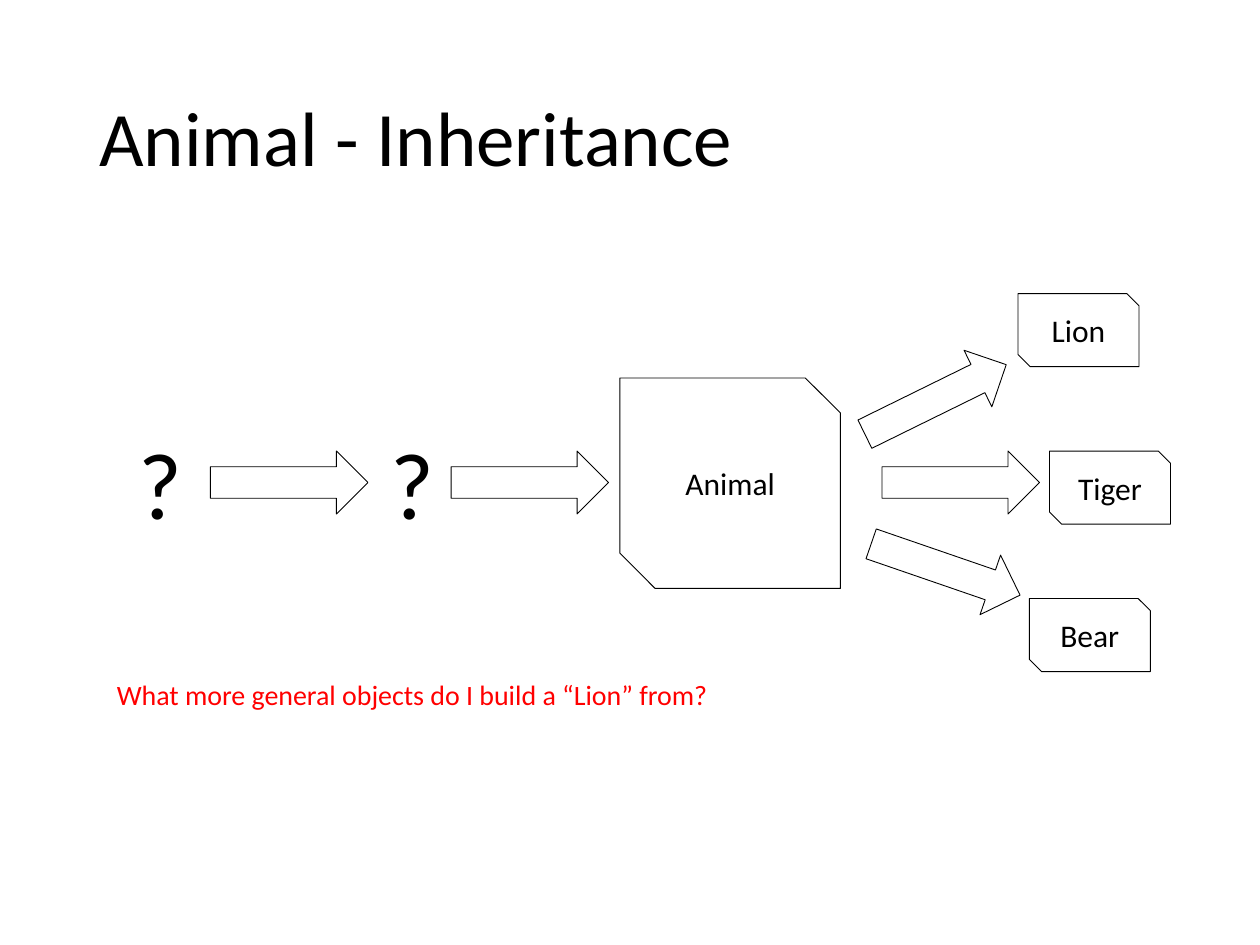
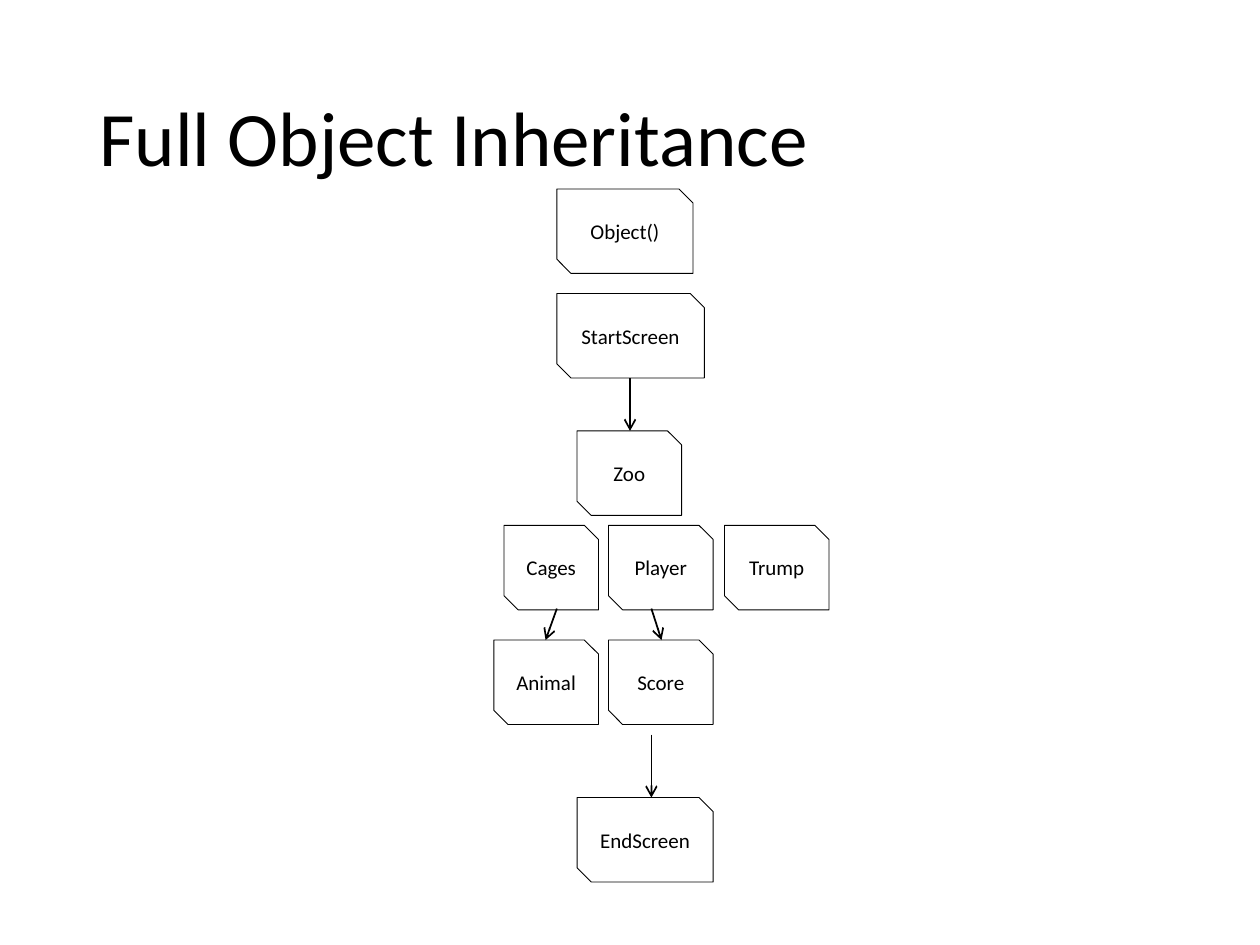
from dataclasses import dataclass

from lxml import etree
from pptx import Presentation
from pptx.dml.color import RGBColor
from pptx.enum.shapes import MSO_CONNECTOR, MSO_SHAPE
from pptx.enum.text import MSO_ANCHOR, MSO_AUTO_SIZE, PP_ALIGN
from pptx.oxml.ns import qn
from pptx.util import Inches, Pt

CARD, ARROW = MSO_SHAPE.SNIP_2_DIAG_RECTANGLE, MSO_SHAPE.RIGHT_ARROW
STRAIGHT = MSO_CONNECTOR.STRAIGHT
MIDDLE, TOP = MSO_ANCHOR.MIDDLE, MSO_ANCHOR.TOP
LEFT, CENTER = PP_ALIGN.LEFT, PP_ALIGN.CENTER
GROW = MSO_AUTO_SIZE.SHAPE_TO_FIT_TEXT


@dataclass(frozen=True)
class Theme:
    font: str = "Calibri"
    ink: RGBColor = RGBColor(0, 0, 0)
    paper: RGBColor = RGBColor(255, 255, 255)
    accent: RGBColor = RGBColor(255, 0, 0)
    title_size: int = 44
    mystery_size: int = 54
    animal_size: int = 18
    question_size: int = 16
    class_size: int = 12
    outline: float = 0.5
    link: float = 1


THEME = Theme()
TITLE_AREA = (0.69, 0.4, 8.62, 1.45)

# Slide 1: a chain of parents leading to three animals
ANIMAL_TITLE = "Animal - Inheritance"
PARENT = ("Animal", 4.92, 3, 1.75, 1.67)
CHILD_SIZE = (0.96, 0.58)
CHILDREN = [("Lion", 8.08, 2.33), ("Tiger", 8.33, 3.58), ("Bear", 8.17, 4.75)]
ARROW_SIZE = (1.25, 0.5)
ARROWS = [  # left, top, rotation
    (1.67, 3.58, 0), (3.58, 3.58, 0),
    (6.8, 2.92, 333.8), (7, 3.58, 0), (6.88, 4.27, 19),
]
MYSTERY_LEFTS = [1, 3]
MYSTERY_TOP, MYSTERY_SIZE = 3.32, (0.55, 1.01)
QUESTION = "What more general objects do I build a “Lion” from?"
QUESTION_AREA = (0.83, 5.33, 4.96, 0.37)

# Slide 2: rows of classes, each class as name, left, width
OBJECT_TITLE = "Full Object Inheritance"
CLASS_HEIGHT = 0.67
CLASS_ROWS = [
    (1.5, [("Object()", 4.42, 1.08)]),
    (2.33, [("StartScreen", 4.42, 1.17)]),
    (3.42, [("Zoo", 4.58, 0.83)]),
    (4.17, [("Cages", 4, 0.75), ("Player", 4.83, 0.83), ("Trump", 5.75, 0.83)]),
    (5.08, [("Animal", 3.92, 0.83), ("Score", 4.83, 0.83)]),
    (6.33, [("EndScreen", 4.58, 1.08)]),
]
LINKS = [  # start x, start y, end x, end y
    (5, 3, 5, 3.42),
    (4.42, 4.83, 4.33, 5.08),
    (5.17, 4.83, 5.25, 5.08),
    (5.17, 5.83, 5.17, 6.33),
]


def inches(values):
    return [Inches(value) for value in values]


def write(box, text, size, color=THEME.ink, align=LEFT, anchor=TOP):
    """Put one line of text into a box and return its paragraph."""
    box.text_frame.vertical_anchor = anchor
    para = box.text_frame.paragraphs[0]
    para.alignment = align
    span = para.add_run()
    span.text = text
    span.font.name = THEME.font
    span.font.size = Pt(size)
    span.font.color.rgb = color
    return para


def add_outlined(page, kind, area):
    shape = page.shapes.add_shape(kind, *inches(area))
    shape.shadow.inherit = False
    shape.fill.solid()
    shape.fill.fore_color.rgb = THEME.paper
    shape.line.color.rgb = THEME.ink
    shape.line.width = Pt(THEME.outline)
    return shape


def add_card(page, name, area, size):
    card = add_outlined(page, CARD, area)
    card.text_frame.word_wrap = True
    write(card, name, size, align=CENTER, anchor=MIDDLE)


def add_label(page, text, area, size, color=THEME.ink):
    box = page.shapes.add_textbox(*inches(area))
    box.text_frame.word_wrap = False
    box.text_frame.auto_size = GROW
    write(box, text, size, color)


def add_link(page, ends):
    link = page.shapes.add_connector(STRAIGHT, *inches(ends))
    link.line.color.rgb = THEME.ink
    link.line.width = Pt(THEME.link)
    etree.SubElement(link.line._get_or_add_ln(), qn("a:tailEnd"), type="arrow")
    etree.SubElement(link._element.spPr, qn("a:effectLst"))


def add_page(deck, title):
    page = deck.slides.add_slide(deck.slide_layouts[6])
    page.background.fill.solid()
    page.background.fill.fore_color.rgb = THEME.paper
    box = page.shapes.add_textbox(*inches(TITLE_AREA))
    box.text_frame.word_wrap = True
    write(box, title, THEME.title_size, anchor=MIDDLE).line_spacing = 0.9
    return page


def build_animal_page(deck):
    page = add_page(deck, ANIMAL_TITLE)
    name, *area = PARENT
    add_card(page, name, area, THEME.animal_size)
    for left, top, rotation in ARROWS:
        add_outlined(page, ARROW, (left, top, *ARROW_SIZE)).rotation = rotation
    for left in MYSTERY_LEFTS:
        add_label(page, "?", (left, MYSTERY_TOP, *MYSTERY_SIZE), THEME.mystery_size)
    for name, left, top in CHILDREN:
        add_card(page, name, (left, top, *CHILD_SIZE), THEME.animal_size)
    add_label(page, QUESTION, QUESTION_AREA, THEME.question_size, THEME.accent)


def build_object_page(deck):
    page = add_page(deck, OBJECT_TITLE)
    for top, classes in CLASS_ROWS:
        for name, left, width in classes:
            add_card(page, name, (left, top, width, CLASS_HEIGHT), THEME.class_size)
    for ends in LINKS:
        add_link(page, ends)


def main():
    deck = Presentation()
    deck.slide_width, deck.slide_height = Inches(10), Inches(7.5)
    build_animal_page(deck)
    build_object_page(deck)
    deck.save("out.pptx")


if __name__ == "__main__":
    main()
